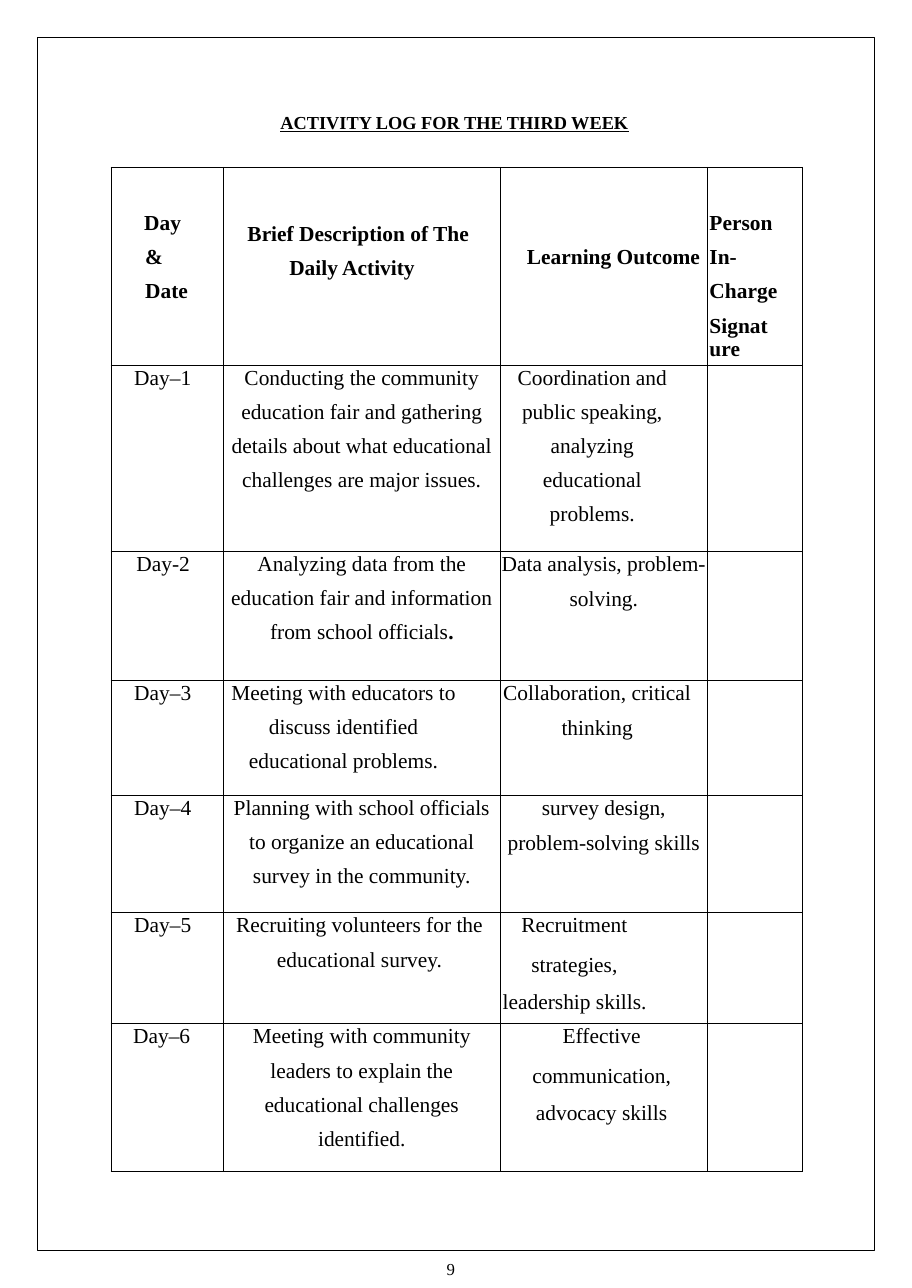
from dataclasses import dataclass

from lxml import etree
from pptx import Presentation
from pptx.dml.color import RGBColor
from pptx.enum.shapes import MSO_SHAPE
from pptx.enum.text import MSO_ANCHOR, PP_ALIGN
from pptx.oxml.ns import qn
from pptx.util import Emu, Inches, Pt

RECTANGLE = MSO_SHAPE.RECTANGLE
TOP = MSO_ANCHOR.TOP
LEFT, CENTER = PP_ALIGN.LEFT, PP_ALIGN.CENTER

WIDTH, HEIGHT = 8.29, 11.71
FONT = "Times New Roman"
INK = "000000"
COLUMNS = (1.02, 2.52, 1.88, 0.86)
ROWS = (1.77, 1.69, 1.17, 1.05, 1.06, 1.01, 1.35)
HEADER_LINE, FIRST_LINE, WIDE_LINE = Pt(22.1), Pt(16.2), Pt(24.3)
BODY_LINE, GAP = 1.44, 7.3


@dataclass
class Entry:
    text: str
    left: float = 0
    right: float = 0
    spacing: object = None
    before: float = 0
    align: object = CENTER
    indent: float = 0
    bold_end: str = ""


def header(text, left, right=0, indent=0):
    return Entry(text, left, right, HEADER_LINE, align=LEFT, indent=indent)


def first(text, right=0):
    return Entry(text, 0, right, FIRST_LINE)


def body(text, left, right, bold_end=""):
    return Entry(text, left, right, BODY_LINE, bold_end=bold_end)


def single(text, right=0):
    return Entry(text, 0, right, before=GAP)


def day(text, left=0.21):
    return Entry(text, left, spacing=FIRST_LINE, align=LEFT)


HEADER_TOPS = (0.31, 0.41, 0.62, 0.31)
HEADERS = [
    [header("Day & Date", 0.31, 0.28, -0.01)],
    [header("Brief Description of The Daily Activity", 0.6, 0.2, -0.38)],
    [header("Learning Outcome", 0.24)],
    [header("Person In- Charge", 0.02, 0.17),
     Entry("Signature", 0.02, 0.25, before=7.5, align=LEFT)],
]
DAYS = [
    [[day("Day–1")],
     [first("Conducting the community"),
      body("education fair and gathering details about what educational "
           "challenges are major issues.", 0.07, 0.07)],
     [first("Coordination and", 0.21),
      body("public speaking, analyzing educational problems.", 0.17, 0.38)]],
    [[day("Day-2", 0.23)],
     [first("Analyzing data from the"),
      body("education fair and information from school officials", 0.07, 0.07, ".")],
     [first("Data analysis, problem-"), single("solving.")]],
    [[day("Day–3")],
     [first("Meeting with educators to", 0.33),
      body("discuss identified educational problems.", 0.22, 0.55)],
     [first("Collaboration, critical", 0.12), single("thinking", 0.12)]],
    [[day("Day–4")],
     [first("Planning with school officials"),
      body("to organize an educational survey in the community.", 0.21, 0.21)],
     [first("survey design,"), single("problem-solving skills")]],
    [[day("Day–5")],
     [first("Recruiting volunteers for the", 0.04), single("educational survey.", 0.04)],
     [Entry("Recruitment", 0.19, spacing=FIRST_LINE, align=LEFT),
      Entry("strategies, leadership skills.", 0.02, 0.3, WIDE_LINE, 1.9, LEFT, 0.26)]],
    [[day("Day–6", 0.2)],
     [first("Meeting with community"), single("leaders to explain the"),
      body("educational challenges identified.", 0.35, 0.35)],
     [first("Effective", 0.04),
      Entry("communication, advocacy skills", 0.27, 0.31, WIDE_LINE, 1.9)]],
]


def color(value):
    return RGBColor.from_string(value)


def add_run(paragraph, text, size, bold=False, underline=False):
    run = paragraph.add_run()
    run.text = text
    run.font.name = FONT
    run.font.size = Pt(size)
    run.font.bold = bold
    run.font.underline = underline
    run.font.color.rgb = color(INK)


def add_text(slide, box, text, size, bold=False, underline=False):
    frame = slide.shapes.add_textbox(*map(Inches, box)).text_frame
    frame.margin_left = frame.margin_top = frame.margin_right = frame.margin_bottom = 0
    frame.word_wrap = False
    add_run(frame.paragraphs[0], text, size, bold, underline)


def add_frame(slide, box):
    frame = slide.shapes.add_shape(RECTANGLE, *map(Inches, box))
    frame.shadow.inherit = False
    frame.fill.background()
    frame.line.color.rgb = color(INK)
    frame.line.width = Pt(0.75)


def style_cell(cell, top):
    cell.margin_left = cell.margin_right = cell.margin_bottom = 0
    cell.margin_top = Inches(top)
    cell.vertical_anchor = TOP
    properties = cell._tc.get_or_add_tcPr()
    for side in ("lnL", "lnR", "lnT", "lnB"):
        border = etree.SubElement(properties, qn("a:" + side), w=str(Pt(0.5)))
        fill = etree.SubElement(border, qn("a:solidFill"))
        etree.SubElement(fill, qn("a:srgbClr"), val=INK)
    cell.fill.background()


def write_cell(cell, entries, bold):
    frame = cell.text_frame
    for index, entry in enumerate(entries):
        paragraph = frame.add_paragraph() if index else frame.paragraphs[0]
        properties = paragraph._p.get_or_add_pPr()
        for name, length in (("marL", entry.left), ("marR", entry.right),
                             ("indent", entry.indent)):
            properties.set(name, str(Inches(length)))
        paragraph.alignment = entry.align
        paragraph.line_spacing = entry.spacing
        paragraph.space_before = Pt(entry.before)
        add_run(paragraph, entry.text, 14, bold)
        if entry.bold_end:
            add_run(paragraph, entry.bold_end, 14, True)


def add_log(slide, left, top):
    box = (left, top, sum(COLUMNS), sum(ROWS))
    table = slide.shapes.add_table(len(ROWS), len(COLUMNS), *map(Inches, box)).table
    table.first_row = table.horz_banding = False
    for column, width in zip(table.columns, COLUMNS):
        column.width = Inches(width)
    for row, height in zip(table.rows, ROWS):
        row.height = Inches(height)
    for row_index, contents in enumerate([HEADERS] + DAYS):
        for column_index in range(len(COLUMNS)):
            cell = table.cell(row_index, column_index)
            is_header = row_index == 0
            style_cell(cell, HEADER_TOPS[column_index] if is_header else 0)
            if column_index < len(contents):
                write_cell(cell, contents[column_index], is_header)


def main():
    presentation = Presentation()
    presentation.slide_width = Emu(Inches(WIDTH))
    presentation.slide_height = Emu(Inches(HEIGHT))
    slide = presentation.slides.add_slide(presentation.slide_layouts[6])
    margin = 0.34
    add_text(slide, (2.55, 1.01, 3.2, 0.22), "ACTIVITY LOG FOR THE THIRD WEEK",
             12, True, True)
    add_log(slide, 1.01, 1.52)
    add_frame(slide, (margin, margin, WIDTH - 2 * margin, HEIGHT - 2 * margin))
    add_text(slide, (4.06, 11.44, 0.27, 0.28), "9", 11)
    presentation.save("out.pptx")


if __name__ == "__main__":
    main()
